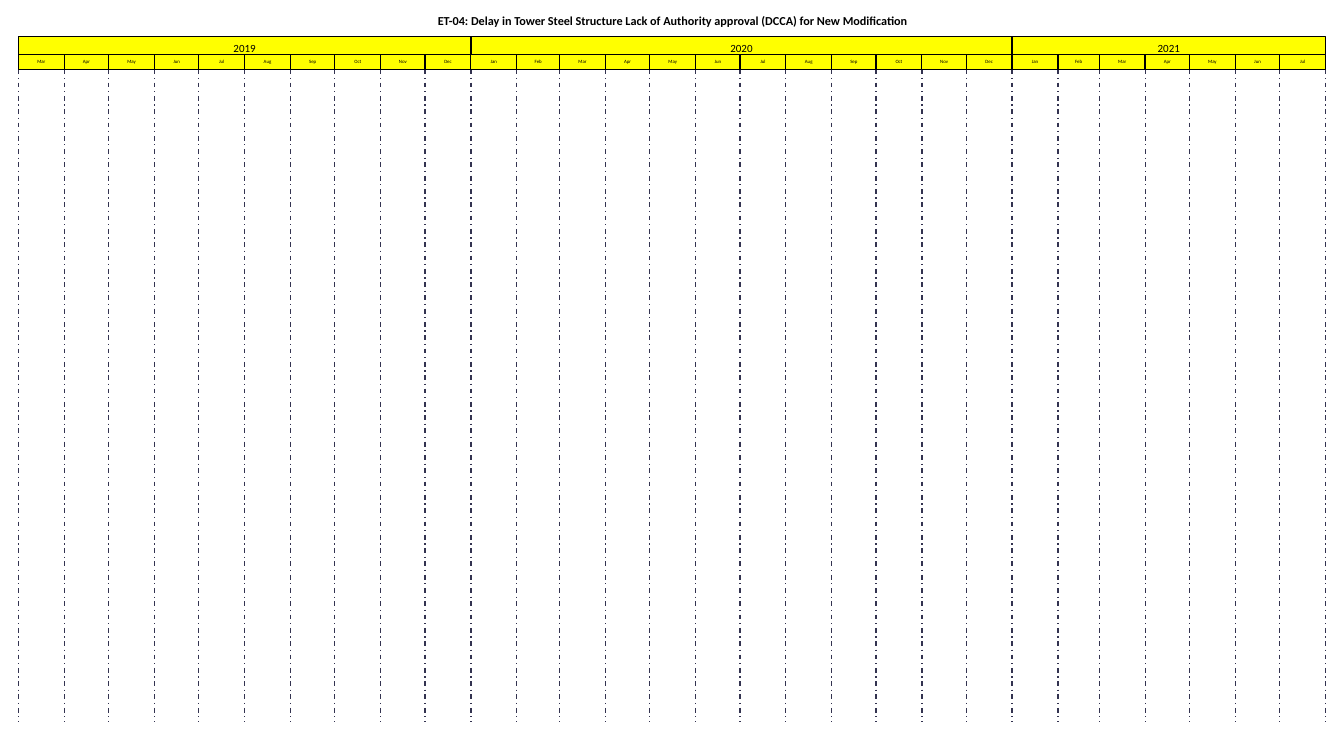
from dataclasses import dataclass

from lxml import etree
from pptx import Presentation
from pptx.dml.color import RGBColor
from pptx.enum.dml import MSO_LINE
from pptx.enum.shapes import MSO_CONNECTOR, MSO_SHAPE
from pptx.enum.text import MSO_ANCHOR, MSO_AUTO_SIZE, PP_ALIGN
from pptx.oxml.ns import qn
from pptx.util import Inches, Pt

RECTANGLE = MSO_SHAPE.RECTANGLE
STRAIGHT = MSO_CONNECTOR.STRAIGHT
DASH_DOT = MSO_LINE.DASH_DOT
TOP = MSO_ANCHOR.TOP
CENTER = PP_ALIGN.CENTER
GROW = MSO_AUTO_SIZE.SHAPE_TO_FIT_TEXT


@dataclass(frozen=True)
class Theme:
    font: str = "Calibri"
    text: RGBColor = RGBColor(0x00, 0x00, 0x00)
    header: RGBColor = RGBColor(0xFF, 0xFF, 0x00)
    grid: RGBColor = RGBColor(0x33, 0x33, 0x50)
    title_size: int = 10
    year_size: int = 9
    month_size: int = 4
    line_width: int = 1


theme = Theme()


def set_text(shape, text, size, bold=False, side_inset=0.1):
    frame = shape.text_frame
    frame.text = text
    frame.word_wrap = True
    frame.auto_size = GROW
    frame.vertical_anchor = TOP
    frame.margin_left = frame.margin_right = Inches(side_inset)
    frame.margin_top = frame.margin_bottom = Inches(0.05)
    paragraph = frame.paragraphs[0]
    paragraph.alignment = CENTER
    font = paragraph.runs[0].font
    font.name = theme.font
    font.size = Pt(size)
    font.bold = bold
    font.color.rgb = theme.text


def add_header(left, top, width, height, text, size, side_inset=0.1):
    shape = slide.shapes.add_shape(
        RECTANGLE, Inches(left), Inches(top), Inches(width), Inches(height))
    shape.shadow.inherit = False
    shape.fill.solid()
    shape.fill.fore_color.rgb = theme.header
    shape.line.color.rgb = theme.text
    shape.line.width = Pt(theme.line_width)
    set_text(shape, text, size, side_inset=side_inset)


presentation = Presentation()
presentation.slide_width = Inches(15.31)
presentation.slide_height = Inches(8.33)
slide = presentation.slides.add_slide(presentation.slide_layouts[5])

title = slide.shapes.title
title.left, title.top = Inches(0.21), Inches(0.1)
title.width, title.height = Inches(14.9), Inches(0.31)
set_text(
    title,
    "ET-04: Delay in Tower Steel Structure Lack of Authority approval (DCCA) for New Modification",
    theme.title_size, bold=True)

month_names = ["Jan", "Feb", "Mar", "Apr", "May", "Jun",
               "Jul", "Aug", "Sep", "Oct", "Nov", "Dec"]
month_days = [31, 28, 31, 30, 31, 30, 31, 31, 30, 31, 30, 31]
year_spans = [(2019, 3, 12), (2020, 1, 12), (2021, 1, 7)]

timeline = []
for year, first, last in year_spans:
    months = []
    for month in range(first, last + 1):
        leap_day = 1 if month == 2 and year % 4 == 0 else 0
        months.append((month_names[month - 1], month_days[month - 1] + leap_day))
    timeline.append((year, months))

total_days = sum(days for year, months in timeline for name, days in months)
chart_left, chart_width = 0.21, 14.89
day_width = chart_width / total_days

boundaries = [chart_left]
month_cells = []
for year, months in timeline:
    year_left = boundaries[-1]
    for name, days in months:
        left, width = boundaries[-1], days * day_width
        month_cells.append((name, left, width))
        boundaries.append(left + width)
    add_header(year_left, 0.42, boundaries[-1] - year_left, 0.21,
               str(year), theme.year_size)

for position in boundaries:
    line = slide.shapes.add_connector(
        STRAIGHT, Inches(position), Inches(0.79), Inches(position), Inches(8.23))
    line.line.color.rgb = theme.grid
    line.line.width = Pt(theme.line_width)
    line.line.dash_style = DASH_DOT
    etree.SubElement(line.element.spPr, qn("a:effectLst"))

for name, left, width in month_cells:
    add_header(left, 0.62, width, 0.17, name, theme.month_size, side_inset=0)

presentation.save("out.pptx")
